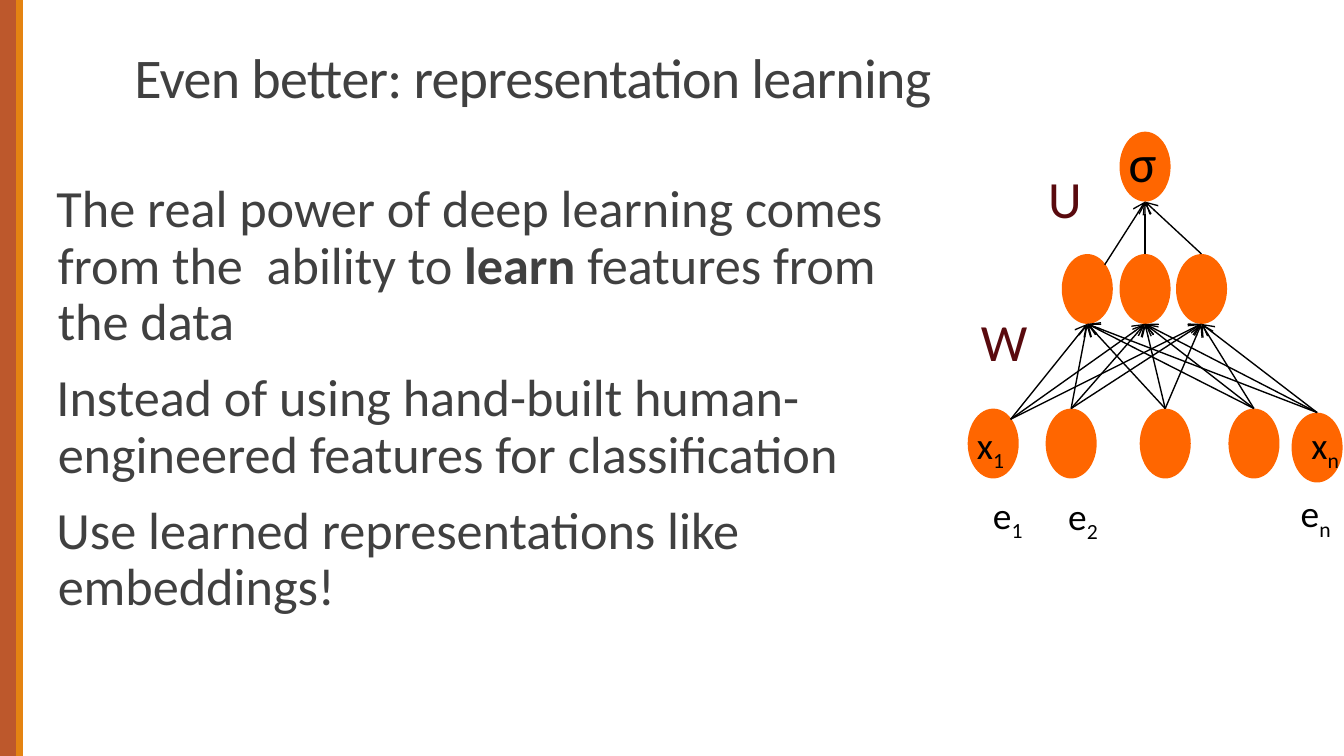
"""Build a slide on representation learning with a small neural network diagram."""
import pptx
import pptx.dml.color
import pptx.enum.shapes
import pptx.enum.text
import pptx.oxml.ns
import pptx.util
from lxml import etree
from dataclasses import dataclass

Inches = pptx.util.Inches
Pt = pptx.util.Pt


@dataclass(frozen=True)
class Theme:
    font: str = "Calibri"
    text: str = "404040"
    black: str = "000000"
    weight: str = "590A0E"
    node: str = "FF6600"
    strip: str = "BD582C"
    strip_edge: str = "E48312"
    title_size: int = 30
    large_size: int = 28
    label_size: int = 20


THEME = Theme()
SLIDE_WIDTH = 10
SLIDE_HEIGHT = SLIDE_WIDTH * 9 / 16
TITLE = "Even better: representation learning"
BODY = [
    [("The real power of deep learning comes from the  ability to ", False),
     ("learn", True), (" features from the data", False)],
    [("Instead of using hand-built human-engineered features for classification", False)],
    [("Use learned representations like embeddings!", False)],
]
STRIPS = [(0, 0.17, THEME.strip), (0.12, 0.05, THEME.strip_edge)]
NODE_SIZE = (0.38, 0.52)
OUTPUT_NODE = (8.52, 0.98)
HIDDEN_NODES = [(8.09, 1.89), (8.52, 1.89), (8.94, 1.89)]
INPUT_NODES = [(7.39, 3.04), (7.97, 3.04), (8.67, 3.04), (9.33, 3.04), (9.8, 3.07)]
EDGE_SHIFT = (0.13, 0.08)
NETWORK_LABELS = [
    ("U", "", 7.7, 1.19, THEME.large_size, THEME.weight),
    ("W", "", 7.2, 2.25, THEME.large_size, THEME.weight),
    ("x", "n", 9.66, 3.09, THEME.label_size, THEME.black),
    ("x", "1", 7.17, 3.09, THEME.label_size, THEME.black),
]
FREE_LABELS = [
    ("e", "1", 7.29, 3.61, THEME.label_size, THEME.black),
    ("e", "2", 7.85, 3.62, THEME.label_size, THEME.black),
    ("e", "n", 9.58, 3.6, THEME.label_size, THEME.black),
    ("σ", "", 8.3, 0.92, THEME.large_size, THEME.black),
]


def color(value):
    return pptx.dml.color.RGBColor.from_string(value)


def add_run(paragraph, text, size, fill, bold=False):
    run = paragraph.add_run()
    run.text = text
    run.font.name = THEME.font
    run.font.size = Pt(size)
    run.font.color.rgb = color(fill)
    run.font.bold = bold
    return run


def place(shape, left, top, width, height):
    shape.left, shape.top = Inches(left), Inches(top)
    shape.width, shape.height = Inches(width), Inches(height)


def add_filled(shapes, kind, box, fill):
    shape = shapes.add_shape(kind, *map(Inches, box))
    shape.shadow.inherit = False
    shape.fill.solid()
    shape.fill.fore_color.rgb = color(fill)
    shape.line.fill.background()


def add_node(shapes, node):
    center, top = node
    width, height = NODE_SIZE
    add_filled(shapes, pptx.enum.shapes.MSO_SHAPE.OVAL,
               (center - width / 2, top, width, height), THEME.node)


def add_arrow(shapes, start, target):
    end = (target[0], target[1] + NODE_SIZE[1])
    arrow = shapes.add_connector(pptx.enum.shapes.MSO_CONNECTOR.STRAIGHT,
                                 *map(Inches, start + end))
    arrow.line.color.rgb = color(THEME.black)
    arrow.line.width = Pt(0.75)
    line = arrow.line._get_or_add_ln()
    etree.SubElement(line, pptx.oxml.ns.qn("a:tailEnd"), type="arrow")
    etree.SubElement(arrow._element.spPr, pptx.oxml.ns.qn("a:effectLst"))


def add_label(shapes, label):
    text, subscript, left, top, size, fill = label
    width, height = (0.5, 0.57) if size == THEME.large_size else (0.4, 0.44)
    frame = shapes.add_textbox(*map(Inches, (left, top, width, height))).text_frame
    frame.word_wrap = True
    frame.margin_right = 0
    paragraph = frame.paragraphs[0]
    add_run(paragraph, text, size, fill)
    if subscript:
        run = add_run(paragraph, subscript, size, fill)
        run.font._element.set("baseline", "-25000")


def edge_start(node, shifted):
    return (node[0] + EDGE_SHIFT[0], node[1] + EDGE_SHIFT[1]) if shifted else node


def fill_title(title):
    place(title, 0.9, 0.13, 9.1, 0.74)
    frame = title.text_frame
    frame.auto_size = pptx.enum.text.MSO_AUTO_SIZE.NONE
    frame.vertical_anchor = pptx.enum.text.MSO_ANCHOR.BOTTOM
    paragraph = frame.paragraphs[0]
    paragraph.alignment = pptx.enum.text.PP_ALIGN.LEFT
    paragraph.line_spacing = 0.85
    run = add_run(paragraph, TITLE, THEME.title_size, THEME.text)
    run.font._element.set("spc", "-40")


def fill_body(body):
    place(body, 0.42, 1.31, 6.69, 3.75)
    frame = body.text_frame
    frame.auto_size = pptx.enum.text.MSO_AUTO_SIZE.NONE
    frame.margin_left = frame.margin_right = 0
    for index, runs in enumerate(BODY):
        paragraph = frame.add_paragraph() if index else frame.paragraphs[0]
        paragraph.line_spacing = 0.9
        paragraph.space_before = Pt(9 if index else 0)
        paragraph.space_after = Pt(1.5)
        properties = paragraph._element.get_or_add_pPr()
        properties.set("marL", str(Inches(0.01)))
        properties.set("indent", str(Inches(-0.01)))
        etree.SubElement(properties, pptx.oxml.ns.qn("a:buNone"))
        for text, bold in runs:
            add_run(paragraph, text, THEME.large_size, THEME.text, bold)


def draw_network(shapes):
    for node in [OUTPUT_NODE] + HIDDEN_NODES + INPUT_NODES:
        add_node(shapes, node)
    for sources, targets in [(HIDDEN_NODES, [OUTPUT_NODE]), (INPUT_NODES, HIDDEN_NODES)]:
        for index, source in enumerate(sources):
            for target in targets:
                add_arrow(shapes, edge_start(source, index == 0), target)
    for label in NETWORK_LABELS:
        add_label(shapes, label)


def main():
    presentation = pptx.Presentation()
    presentation.slide_width = Inches(SLIDE_WIDTH)
    presentation.slide_height = Inches(SLIDE_HEIGHT)
    slide = presentation.slides.add_slide(presentation.slide_layouts[1])
    for left, width, fill in STRIPS:
        add_filled(slide.shapes, pptx.enum.shapes.MSO_SHAPE.RECTANGLE,
                   (left, 0, width, SLIDE_HEIGHT), fill)
    fill_title(slide.shapes.title)
    fill_body(slide.placeholders[1])
    draw_network(slide.shapes.add_group_shape().shapes)
    for label in FREE_LABELS:
        add_label(slide.shapes, label)
    presentation.save("out.pptx")


if __name__ == "__main__":
    main()
